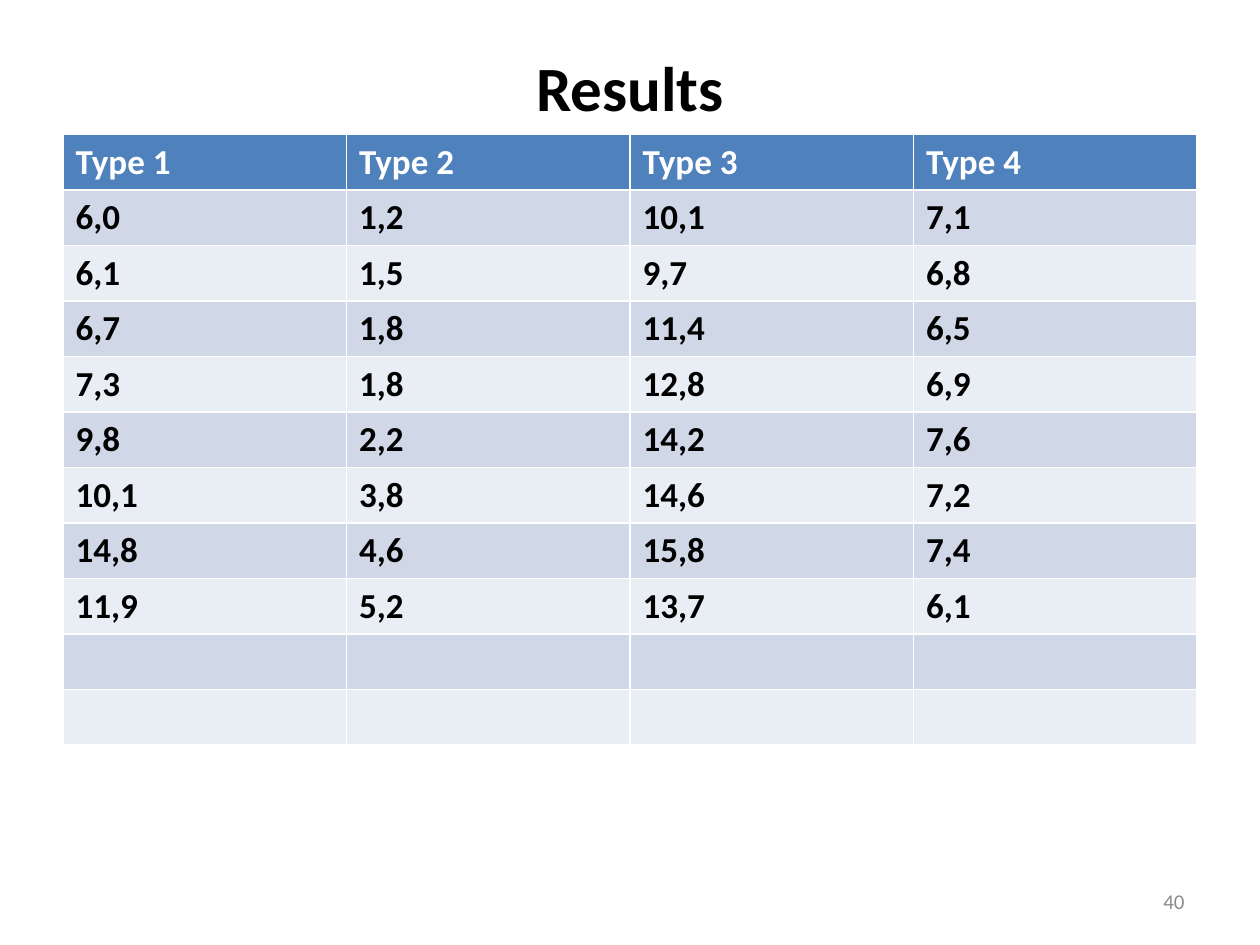
from lxml import etree
from pptx import Presentation
from pptx import util as u
from pptx.dml.color import RGBColor
from pptx.enum import text
from pptx.oxml import ns

Pt = u.Pt


def tint(code):
    return RGBColor.from_string(code)


def write(frame, words, size, color, bold, align):
    """Put one formatted line into a text frame."""
    para = frame.paragraphs[0]
    para.alignment = align
    run = para.add_run()
    run.text = words
    style = {"name": "Calibri", "size": Pt(size), "bold": bold}
    for key, val in style.items():
        setattr(run.font, key, val)
    run.font.color.rgb = tint(color)


deck = Presentation()
deck.slide_width, deck.slide_height = Pt(720), Pt(540)
slide = deck.slides.add_slide(deck.slide_layouts[6])
align = text.PP_ALIGN

# Title and page number
labels = [
    ("Results", (36, 21.6, 648, 55.4), 36, "000000", True, align.CENTER),
    ("40", (516, 500.5, 168, 28.75), 12, "8C8C8C", False, align.RIGHT),
]
for words, place, size, color, bold, side in labels:
    box = slide.shapes.add_textbox(*map(Pt, place))
    frame = box.text_frame
    frame.word_wrap = True
    frame.vertical_anchor = text.MSO_ANCHOR.MIDDLE
    write(frame, words, size, color, bold, side)

# Results: header, eight measured rows, two empty rows
rows = [
    ["Type 1", "Type 2", "Type 3", "Type 4"],
    ["6,0", "1,2", "10,1", "7,1"],
    ["6,1", "1,5", "9,7", "6,8"],
    ["6,7", "1,8", "11,4", "6,5"],
    ["7,3", "1,8", "12,8", "6,9"],
    ["9,8", "2,2", "14,2", "7,6"],
    ["10,1", "3,8", "14,6", "7,2"],
    ["14,8", "4,6", "15,8", "7,4"],
    ["11,9", "5,2", "13,7", "6,1"],
    [""] * 4,
    [""] * 4,
]
high = 31.7
place = (36, 77, 648, high * len(rows))
table = slide.shapes.add_table(len(rows), 4, *map(Pt, place)).table
for col in table.columns:
    col.width = Pt(162)

for i, row in enumerate(rows):
    table.rows[i].height = Pt(high)
    head = i == 0
    fill = "4F81BD" if head else ("E9EDF4", "D0D8E8")[i % 2]
    for j, words in enumerate(row):
        cell = table.cell(i, j)
        # White rules on all four sides
        props = cell._tc.get_or_add_tcPr()
        for side in ("lnL", "lnR", "lnT", "lnB"):
            line = etree.SubElement(props, ns.qn("a:" + side), w=str(Pt(1)))
            solid = etree.SubElement(line, ns.qn("a:solidFill"))
            etree.SubElement(solid, ns.qn("a:srgbClr"), val="FFFFFF")
        cell.fill.solid()
        cell.fill.fore_color.rgb = tint(fill)
        if words:
            color = "FFFFFF" if head else "000000"
            write(cell.text_frame, words, 20, color, True, align.LEFT)

deck.save("out.pptx")
